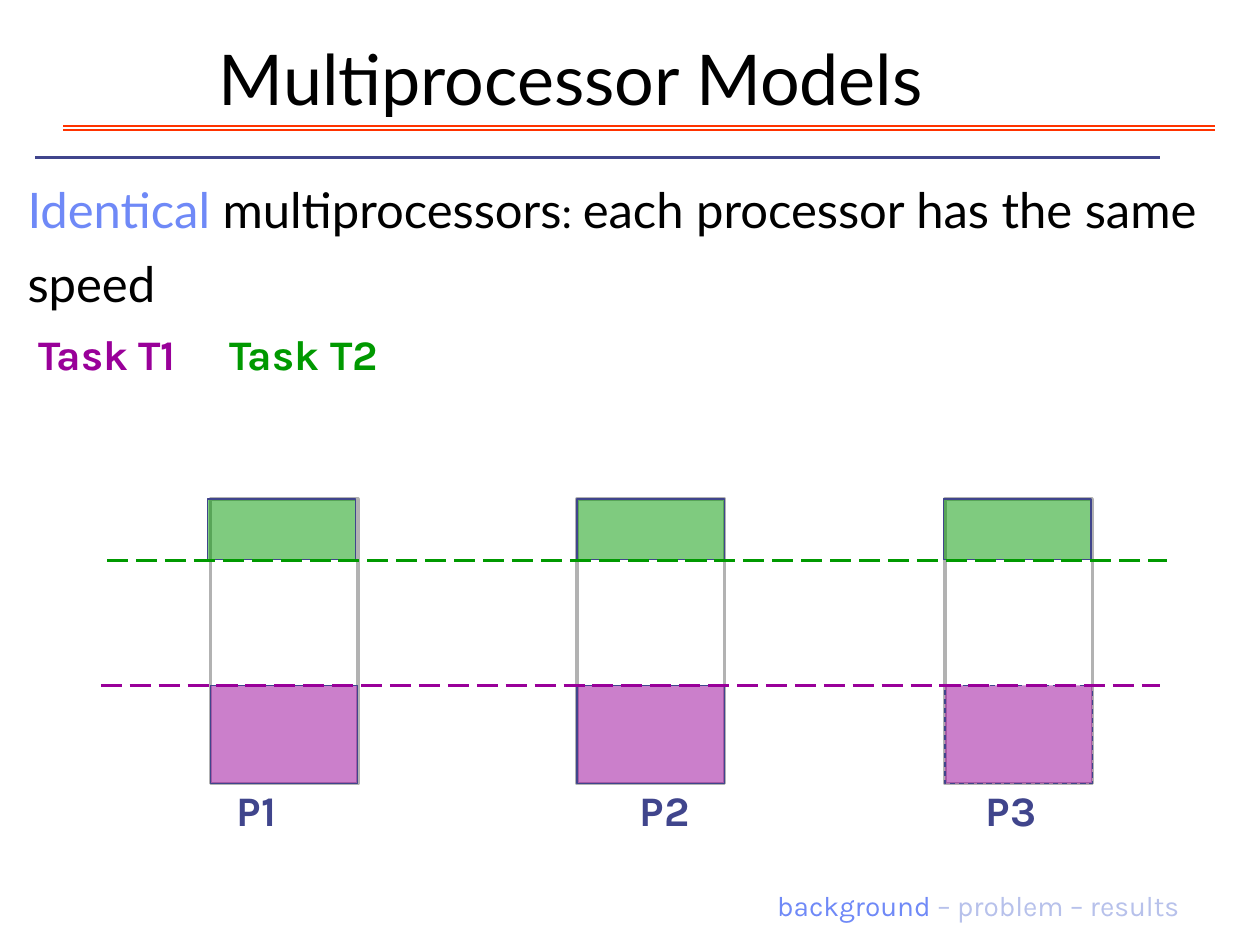
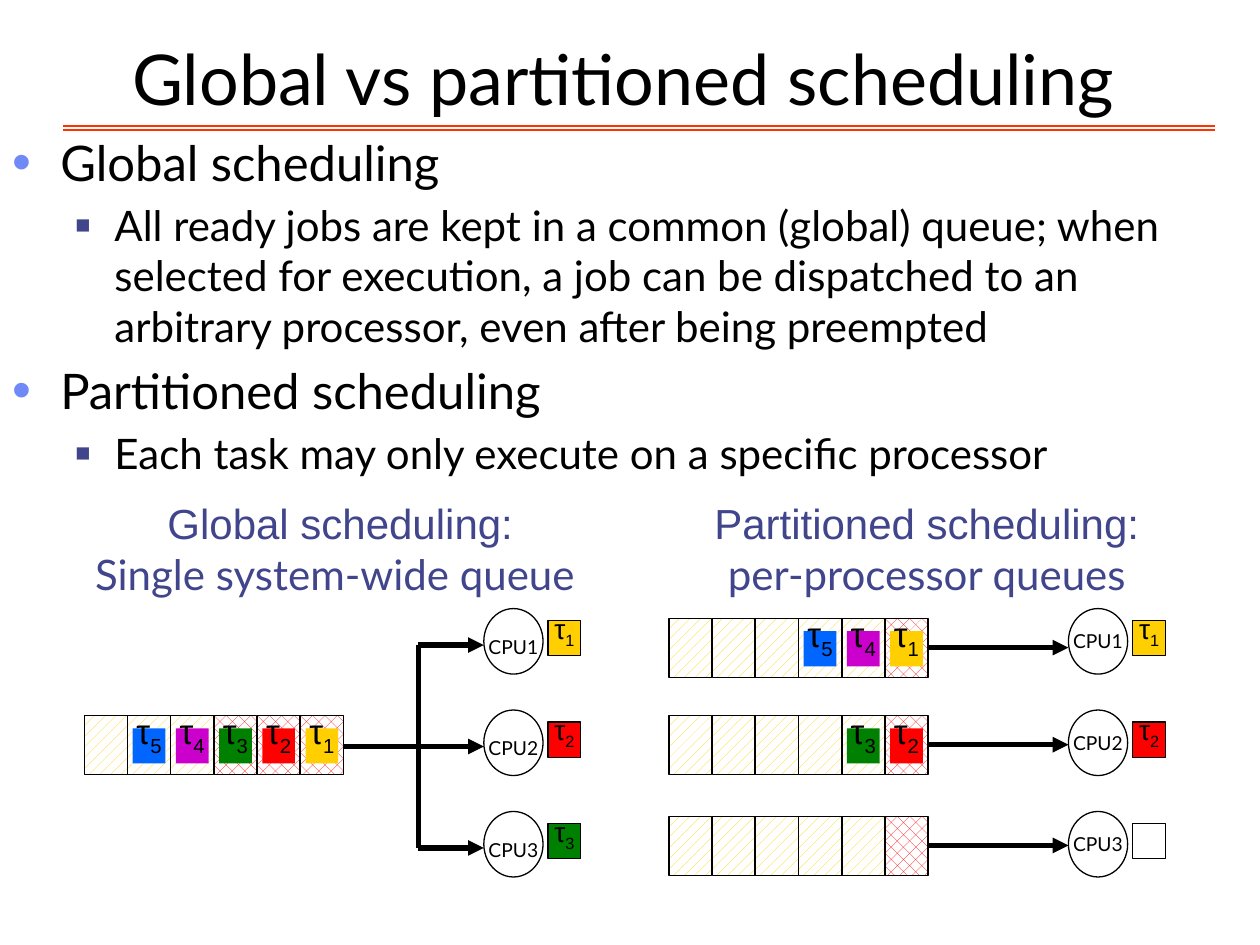
from lxml import etree
from pptx import Presentation
from pptx.dml.color import RGBColor
from pptx.enum.dml import MSO_LINE, MSO_PATTERN
from pptx.enum.shapes import MSO_CONNECTOR, MSO_SHAPE
from pptx.enum.text import MSO_ANCHOR, MSO_AUTO_SIZE, PP_ALIGN
from pptx.oxml.ns import qn
from pptx.util import Inches, Pt

RECT, OVAL = MSO_SHAPE.RECTANGLE, MSO_SHAPE.OVAL
STRAIGHT = MSO_CONNECTOR.STRAIGHT
LEFT, MID, RIGHT = PP_ALIGN.LEFT, PP_ALIGN.CENTER, PP_ALIGN.RIGHT
TOP, CENTER, BASE = MSO_ANCHOR.TOP, MSO_ANCHOR.MIDDLE, MSO_ANCHOR.BOTTOM
NONE = MSO_AUTO_SIZE.NONE
DASH, LONG = MSO_LINE.DASH, MSO_LINE.LONG_DASH
FREE, BUSY = MSO_PATTERN.PERCENT_20, MSO_PATTERN.PERCENT_30

BLACK, WHITE, RED, GOLD = "000000", "FFFFFF", "FF0000", "FFCF01"
NAVY, BLUE, PALE, GRAY = "40458C", "6F89F7", "B7C1EB", "B2B2B2"
PLUM, LEAF, RULE = "990099", "009900", "FF3300"
TASKS = {1: GOLD, 2: RED, 3: "008000", 4: "CC00CC", 5: "0066FF"}

COLS, ROWS = 100, 75
CELL, CELLS, PITCH = 3.4, 6, 3.43
LANE = 8.05


def tint(code):
    return RGBColor.from_string(code)


def node(parent, tag, **attrs):
    return etree.SubElement(parent, qn("a:" + tag), attrs)


class Deck:
    """Slides on a grid of COLS by ROWS; boxes are (left, top, width, height)."""

    def __init__(self):
        self.prs = Presentation()
        self.prs.slide_width, self.prs.slide_height = Inches(10), Inches(7.5)
        self.slide = None

    def x(self, cols):
        return round(self.prs.slide_width * cols / COLS)

    def y(self, rows):
        return round(self.prs.slide_height * rows / ROWS)

    def place(self, box):
        left, top, width, height = box
        return self.x(left), self.y(top), self.x(width), self.y(height)

    def start(self, title, width):
        """Begin a slide with its double rule and title."""
        self.slide = self.prs.slides.add_slide(self.prs.slide_layouts[6])
        for row in (10, 10.3):
            self.line((5, row), (96.4, row), RULE, 1)
        self.text((2.5, 1.7, width, 8.3), [[(title, "Lato", 40, BLACK)]],
                  MID, BASE, wrap=True)

    def fill(self, frame, paras, align, anchor, wrap=False, bold=False,
             lead=None):
        """Fill a frame; each paragraph is a list of (words, font, size, colour)."""
        frame.word_wrap = wrap
        frame.vertical_anchor = anchor
        for i, runs in enumerate(paras):
            para = frame.add_paragraph() if i else frame.paragraphs[0]
            para.alignment = align
            if lead:
                para.line_spacing = lead
            for words, face, size, color in runs:
                run = para.add_run()
                run.text = words
                font = run.font
                font.name, font.size, font.bold = face, Pt(size), bold
                font.color.rgb = tint(color)

    def text(self, box, paras, align=MID, anchor=TOP, **style):
        frame = self.slide.shapes.add_textbox(*self.place(box)).text_frame
        if style.get("wrap"):
            frame.auto_size = NONE
        self.fill(frame, paras, align, anchor, **style)
        return frame

    def bullets(self, box, items):
        """Set (level, words) items as a two-level list."""
        looks = ((28, 0.38, -0.38, "•", BLUE, "110000"),
                 (24, 0.81, -0.31, "■", NAVY, "60000"))
        paras = [[(words, "Lato", looks[level][0], BLACK)]
                 for level, words in items]
        frame = self.text(box, paras, LEFT, wrap=True)
        for i, (para, (level, _)) in enumerate(zip(frame.paragraphs, items)):
            size, left, hang, mark, color, scale = looks[level]
            props = para._p.get_or_add_pPr()
            props.set("marL", str(Inches(left)))
            props.set("indent", str(Inches(hang)))
            node(node(props, "buClr"), "srgbClr", val=color)
            node(props, "buSzPct", val=scale)
            node(props, "buFont", typeface="Arial")
            node(props, "buChar", char=mark)
            if i:
                para.space_before = Pt(size * 0.2)

    def shape(self, box, kind=RECT, fill=None, edge=None, wide=0.75,
              dash=None, clear=False, hatch=None):
        item = self.slide.shapes.add_shape(kind, *self.place(box))
        item.shadow.inherit = False
        if hatch:
            item.fill.patterned()
            item.fill.pattern = hatch
            item.fill.fore_color.rgb = tint(fill)
            item.fill.back_color.rgb = tint(WHITE)
        elif fill:
            item.fill.solid()
            item.fill.fore_color.rgb = tint(fill)
        else:
            item.fill.background()
        if clear:
            color = next(item._element.spPr.iter(qn("a:srgbClr")))
            node(color, "alpha", val="50000")
        if edge:
            item.line.color.rgb = tint(edge)
            item.line.width = Pt(wide)
            if dash:
                item.line.dash_style = dash
        else:
            item.line.fill.background()
        return item

    def line(self, start, end, color, wide, dash=None, arrow=False):
        item = self.slide.shapes.add_connector(
            STRAIGHT, self.x(start[0]), self.y(start[1]),
            self.x(end[0]), self.y(end[1]))
        item.line.color.rgb = tint(color)
        item.line.width = Pt(wide)
        if dash:
            item.line.dash_style = dash
        props = item._element.spPr
        if arrow:
            node(props.find(qn("a:ln")), "tailEnd", type="triangle")
        node(props, "effectLst")

    def task(self, left, top, num, size, edge=None):
        """Draw a task tile labelled τ with its number as subscript."""
        tile = self.shape((left, top, 2.6, 2.8), fill=TASKS[num], edge=edge)
        self.fill(tile.text_frame, [[("τ", "Arial", size, BLACK),
                                     (str(num), "Arial", size, BLACK)]],
                  MID, BASE)
        low = tile.text_frame.paragraphs[0].runs[1]
        low._r.get_or_add_rPr().set("baseline", "-25000")

    def queue(self, left, top, tasks, busy):
        """Draw a queue, its head at the right; busy counts the red cells."""
        spots = [left + PITCH * (CELLS - 1 - i) for i in range(CELLS)]
        for i, spot in enumerate(spots):
            self.shape((spot, top, CELL, 4.7), fill=RED if i < busy else GOLD,
                       edge=BLACK, hatch=BUSY if i < busy else FREE)
        for spot, num in zip(spots, tasks):
            self.task(spot + 0.4, top + 1, num, 20)

    def cpus(self, left, jobs, anchor):
        """Draw a column of processors, each with its running task."""
        for i, num in enumerate(jobs):
            top = 48.3 + LANE * i
            oval = self.shape((left, top, 4.7, 5.2), OVAL, WHITE, BLACK)
            self.fill(oval.text_frame,
                      [[(f"CPU{i + 1}", "Lato", 11, BLACK)]], MID, anchor)
            if num:
                self.task(left + 5.1, top + 0.95, num, 16, BLACK)
            else:
                self.shape((left + 5.1, top + 0.95, 2.6, 2.8),
                           fill=WHITE, edge=BLACK)


def models(deck):
    deck.start("Multiprocessor Models", 85.6)
    deck.text((1.2, 12.6, 98.8, 11.7), [[
        ("Identical", "Lato", 28, BLUE),
        (" multiprocessors", "Lato", 28, BLACK),
        (": ", "Lato", 24, BLACK),
        ("each processor has the same speed", "Lato", 28, BLACK)]],
        LEFT, wrap=True, lead=1.25)
    deck.line((2.8, 12.5), (92.1, 12.5), NAVY, 2.25)

    def label(left, top, width, words, color):
        deck.text((left, top, width, 5.4), [[(words, "Karla", 24, color)]],
                  bold=True, lead=1.1)

    bars = ((16.7, 16.5, 17.3), (45.8, 45.8, 49.7), (75, 74.9, 77.2))
    for left, _, _ in bars:
        deck.shape((left, 39.6, 11.7, 22.6), edge=GRAY, wide=2)
    for i, (left, _, name) in enumerate(bars):
        label(name, 61.4, 6.1, f"P{i + 1}", NAVY)
        deck.shape((left, 54.4, 11.7, 7.8), fill=PLUM, edge=NAVY, clear=True,
                   dash=DASH if i == 2 else None)
    deck.line((8, 54.4), (92.1, 54.4), PLUM, 1.5, LONG)
    for _, left, _ in bars:
        deck.shape((left, 39.6, 11.7, 4.8), fill=LEAF, edge=NAVY, clear=True)
    deck.line((8.5, 44.5), (92.6, 44.5), LEAF, 1.5, LONG)
    label(1.3, 25.2, 14.4, "Task T1", PLUM)
    label(16.9, 25.2, 14.4, "Task T2", LEAF)
    deck.text((44, 70.1, 51.1, 3.6), [[
        ("background", "Karla", 16, BLUE),
        (" – problem – results ", "Karla", 16, PALE)]],
        RIGHT, BASE, wrap=True)


def queues(deck):
    deck.start("Global vs partitioned scheduling", 93.9)
    deck.bullets((0, 10, 94.2, 57), [
        (0, "Global scheduling"),
        (1, "All ready jobs are kept in a common (global) queue; when "
            "selected for execution, a job can be dispatched to an "
            "arbitrary processor, even after being preempted"),
        (0, "Partitioned scheduling"),
        (1, "Each task may only execute on a specific processor")])

    deck.cpus(38.4, (1, 2, 3), BASE)
    lanes = [51.2 + LANE * i for i in range(3)]
    for row, left in zip(lanes, (33.2, 27.2, 33.2)):
        deck.line((left, row), (38.4, row), BLACK, 3, arrow=True)
    deck.line((33.2, lanes[0]), (33.2, lanes[-1]), BLACK, 3)
    deck.queue(6.7, 56.8, (1, 2, 3, 4, 5), 3)

    deck.cpus(84.8, (1, 2, None), CENTER)
    for top, tasks in ((49.1, (1, 4, 5)), (56.8, (2, 3)), (64.8, ())):
        deck.line((73.7, top + 2.3), (84.8, top + 2.3), BLACK, 3, arrow=True)
        deck.queue(53.1, top, tasks, 1)

    for left, width, head, tail in (
            (6.1, 41.8, "Global scheduling:", "Single system-wide queue "),
            (55.5, 36.1, "Partitioned scheduling:", "per-processor queues")):
        deck.text((left, 39, width, 9.1), [[(head, "Arial", 24, NAVY)],
                                           [(tail, "Lato", 24, NAVY)]])


def main():
    deck = Deck()
    models(deck)
    queues(deck)
    deck.prs.save("out.pptx")


if __name__ == "__main__":
    main()
